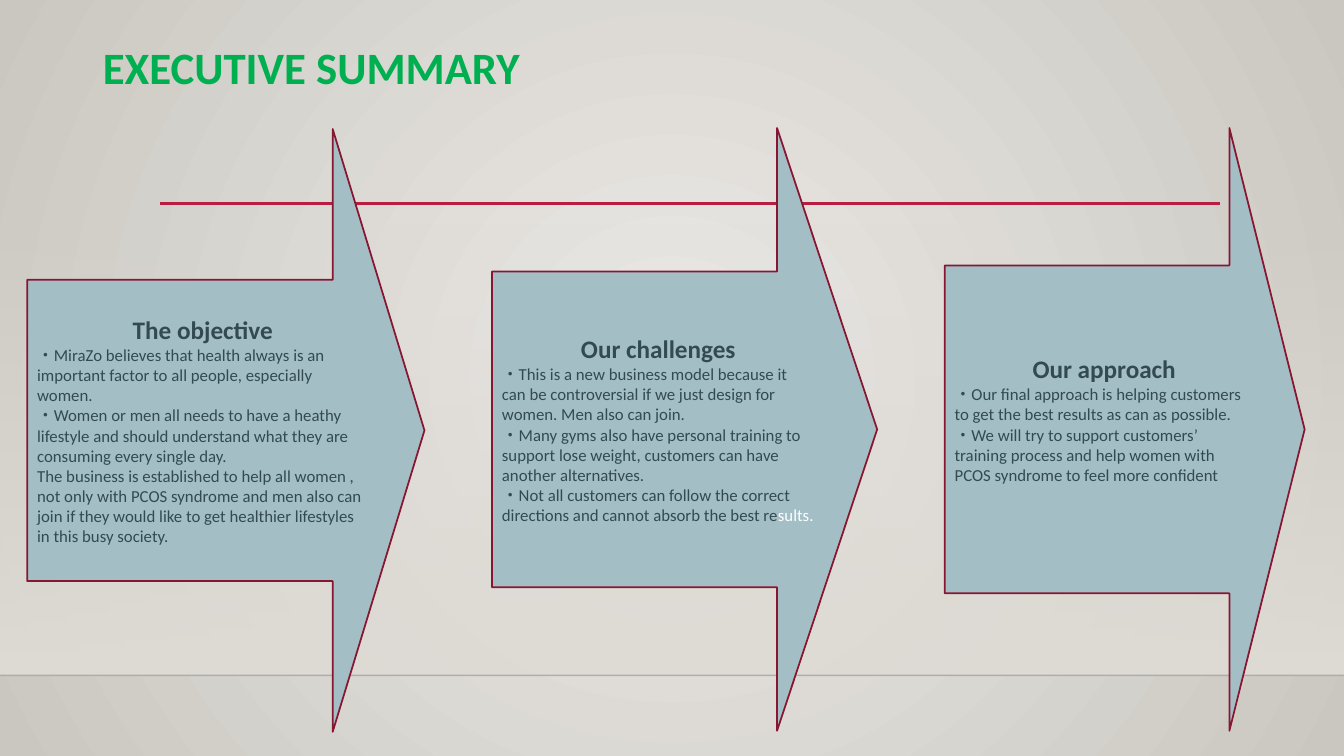
import dataclasses
import pptx
import pptx.dml.color
import pptx.enum.shapes
import pptx.enum.text
import pptx.oxml
import pptx.oxml.ns
import pptx.util

Inches = pptx.util.Inches
Pt = pptx.util.Pt
SHAPE = pptx.enum.shapes.MSO_SHAPE
ALIGN = pptx.enum.text.PP_ALIGN
ANCHOR = pptx.enum.text.MSO_ANCHOR
qn = pptx.oxml.ns.qn
FONT, INK, WHITE = "Calibri", "334A51", "FFFFFF"
WIDE, FLOOR = 13.33, 6.7


@dataclasses.dataclass
class Arrow:
    left: float
    top: float
    width: float
    shaft: float
    tip: float
    head: str
    body: list[str]
    tail: str = ""
    inset: float = 0.05


ARROWS = [
    Arrow(0.27, 1.28, 3.94, 0.5, 0.231, "The objective", [
        "・MiraZo believes that health always is an important factor to all "
        "people, especially women.",
        "・Women or men all needs to have a heathy lifestyle and should "
        "understand what they are consuming every single day.",
        "The business is established to help all women , not only with PCOS "
        "syndrome and men also can join if they would like to get healthier "
        "lifestyles in this busy society."]),
    Arrow(4.88, 1.27, 3.82, 0.524, 0.26, "Our challenges", [
        "・This is a new business model because it can be controversial if we "
        "just design for women. Men also can join.",
        "・Many gyms also have personal training to support lose weight, "
        "customers can have another alternatives.",
        "・Not all customers can follow the correct directions and cannot "
        "absorb the best re"], tail="sults."),
    Arrow(9.37, 1.27, 3.57, 0.544, 0.209, "Our approach", [
        "・Our final approach is helping customers to get the best results as "
        "can as possible.",
        "・We will try to support customers’ training process and help women "
        "with PCOS syndrome to feel more confident"], inset=0.25),
]


def tint(code: str) -> pptx.dml.color.RGBColor:
    return pptx.dml.color.RGBColor.from_string(code)


def blend(host, stops: list[tuple[str, int]], way: str) -> None:
    """Swap the solid fill of host for a gradient of (colour, opacity) stops."""
    marks = "".join(
        f'<a:gs pos="{spot * 100000}"><a:srgbClr val="{code}">'
        f'<a:alpha val="{alpha * 1000}"/></a:srgbClr></a:gs>'
        for spot, (code, alpha) in enumerate(stops))
    node = pptx.oxml.parse_xml(
        f'<a:gradFill {pptx.oxml.ns.nsdecls("a")} rotWithShape="1">'
        f'<a:gsLst>{marks}</a:gsLst>{way}</a:gradFill>')
    host.replace(host.find(qn("a:solidFill")), node)


def write(para, text: str, size: float, code: str, bold: bool = False) -> None:
    run = para.add_run()
    run.text = text
    font = run.font
    font.name, font.size, font.bold = FONT, Pt(size), bold
    font.color.rgb = tint(code)


def rule(slide, left: float, right: float, top: float, code: str,
         width: float):
    line = slide.shapes.add_connector(
        pptx.enum.shapes.MSO_CONNECTOR.STRAIGHT,
        Inches(left), Inches(top), Inches(right), Inches(top))
    line.line.color.rgb = tint(code)
    line.line.width = Pt(width)
    line.element.spPr.append(pptx.oxml.parse_xml(
        f'<a:effectLst {pptx.oxml.ns.nsdecls("a")}/>'))
    return line


def draw(slide, item: Arrow) -> None:
    shape = slide.shapes.add_shape(
        SHAPE.RIGHT_ARROW, Inches(item.left), Inches(item.top),
        Inches(item.width), Inches(5.98))
    shape.adjustments[0], shape.adjustments[1] = item.shaft, item.tip
    shape.shadow.inherit = False
    shape.fill.solid()
    shape.fill.fore_color.rgb = tint("A4BEC6")
    shape.line.color.rgb = tint("871631")
    shape.line.width = Pt(1.25)
    frame = shape.text_frame
    frame.word_wrap = True
    frame.vertical_anchor = ANCHOR.MIDDLE
    frame.margin_bottom = Inches(item.inset)
    para = frame.paragraphs[0]
    para.alignment = ALIGN.CENTER
    write(para, item.head, 18, INK, True)
    for text in item.body:
        para = frame.add_paragraph()
        para.alignment = ALIGN.LEFT
        write(para, text, 12, INK)
    if item.tail:
        write(para, item.tail, 12, WHITE)


deck = pptx.Presentation()
deck.slide_width, deck.slide_height = Inches(WIDE), Inches(7.5)
slide = deck.slides.add_slide(deck.slide_layouts[5])

# Background
slide.background.fill.solid()
blend(slide.element.find(".//" + qn("p:bgPr")),
      [("ECEAE7", 100), ("CAC7C1", 100)],
      '<a:path path="circle"><a:fillToRect l="50000" t="50000" r="50000" '
      'b="50000"/></a:path>')

# Wall and floor line
wall = slide.shapes.add_shape(
    SHAPE.RECTANGLE, 0, Inches(2.21), Inches(WIDE), Inches(FLOOR - 2.21))
wall.shadow.inherit = False
wall.line.fill.background()
wall.fill.solid()
wall.fill.fore_color.rgb = tint("DFDBD5")
blend(wall.element.spPr, [("DFDBD5", 0), ("DFDBD5", 100)],
      '<a:lin ang="5400000" scaled="0"/>')
edge = rule(slide, 0, WIDE, FLOOR, "000001", 1)
edge.element.spPr.find(".//" + qn("a:srgbClr")).append(pptx.oxml.parse_xml(
    f'<a:alpha {pptx.oxml.ns.nsdecls("a")} val="20000"/>'))

# Red rule
rule(slide, 1.59, 12.1, 2.02, "B71E42", 2.5)

# Title
title = slide.shapes.title
title.left, title.top = Inches(0.92), Inches(0.4)
title.width, title.height = Inches(11.5), Inches(0.87)
frame = title.text_frame
frame.word_wrap = True
frame.vertical_anchor = ANCHOR.TOP
para = frame.paragraphs[0]
para.alignment = ALIGN.LEFT
para.line_spacing = 0.9
write(para, "EXECUTIVE SUMMARY", 32, "00B050", True)

# Arrows
for item in ARROWS:
    draw(slide, item)

deck.save("out.pptx")
